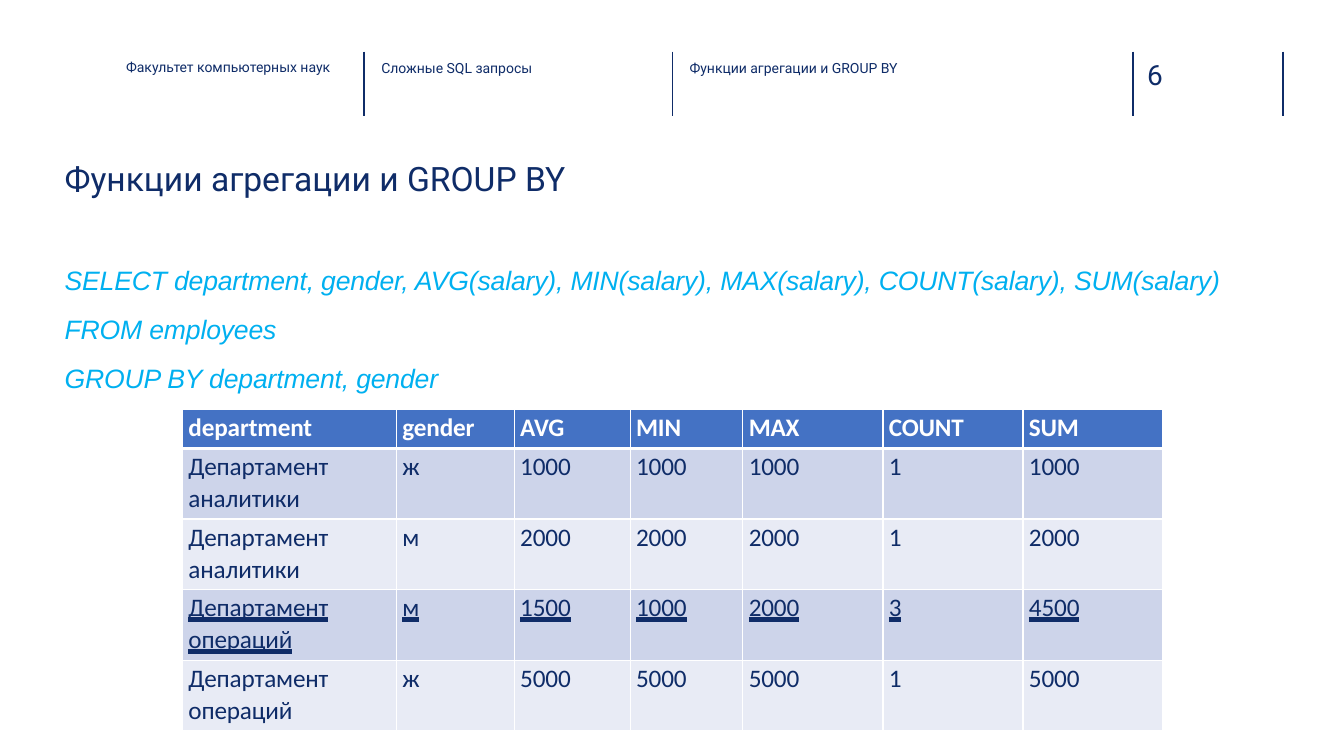
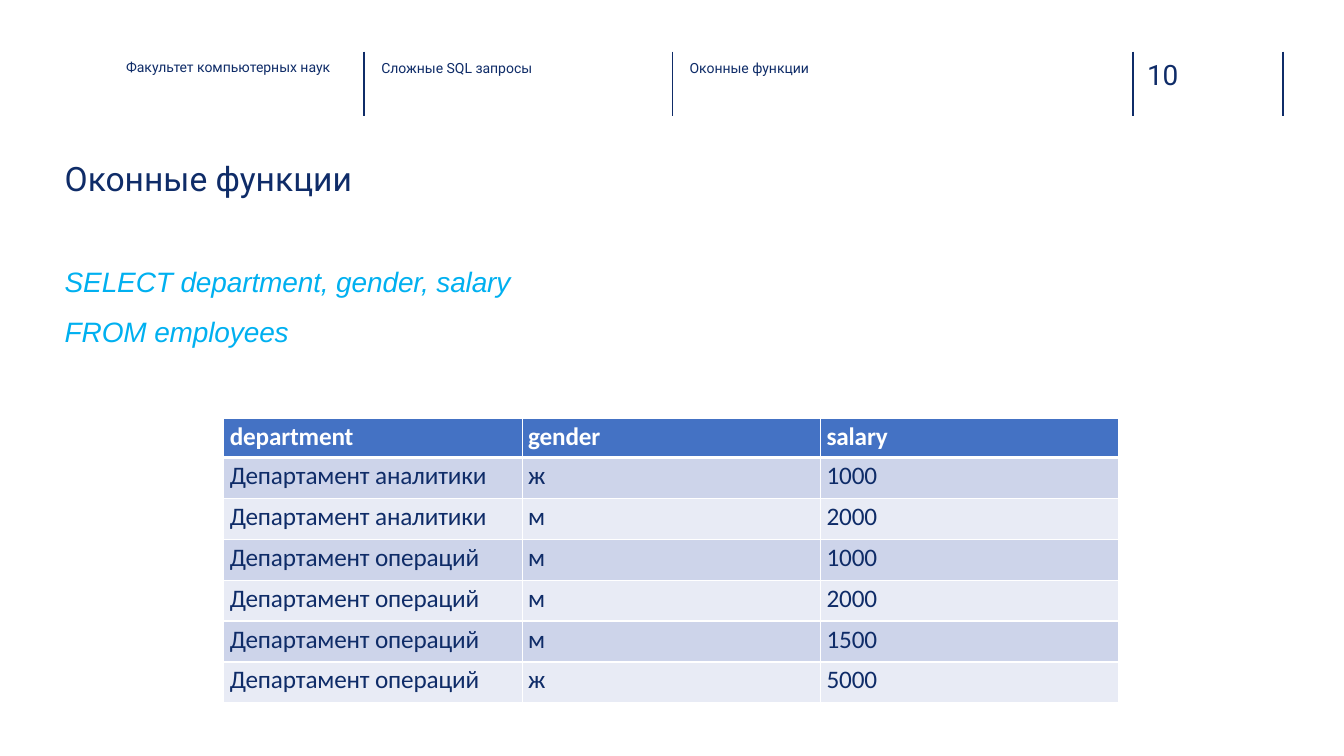
from dataclasses import dataclass
from typing import Optional

from lxml import etree
from pptx import Presentation
from pptx.dml.color import RGBColor
from pptx.enum.shapes import MSO_CONNECTOR
from pptx.enum.text import MSO_ANCHOR, MSO_AUTO_SIZE, MSO_UNDERLINE, PP_ALIGN
from pptx.oxml.ns import qn
from pptx.util import Cm, Pt

STRAIGHT = MSO_CONNECTOR.STRAIGHT
TOP = MSO_ANCHOR.TOP
NO_AUTOFIT = MSO_AUTO_SIZE.NONE
HEAVY = MSO_UNDERLINE.HEAVY_LINE
LEFT = PP_ALIGN.LEFT


@dataclass(frozen=True)
class Style:
    font: str
    size: float
    color: str
    bold: bool = False
    italic: bool = False
    spacing: float = 0


@dataclass(frozen=True)
class Theme:
    navy: str = "0F2C68"
    white: str = "FFFFFF"
    head_fill: str = "4472C4"
    band_fills: tuple[str, str] = ("CDD4EA", "E8EBF5")
    label: Style = Style("Roboto", 10, "0F2C68")
    page: Style = Style("Roboto", 20, "0F2C68", spacing=-0.2)
    title: Style = Style("Roboto", 24, "0F2C68")
    table_head: Style = Style("Calibri", 18, "FFFFFF", bold=True, spacing=-0.1)
    table_body: Style = Style("Calibri", 18, "0F2C68", spacing=-0.1)


THEME = Theme()


@dataclass(frozen=True)
class Box:
    left: float
    top: float
    width: float
    height: float


@dataclass(frozen=True)
class TableData:
    left: float
    top: float
    widths: tuple[float, ...]
    row_height: float
    rows: tuple[tuple[str, ...], ...]
    underlined_row: Optional[int] = None


@dataclass(frozen=True)
class QuerySlide:
    title: str
    page: str
    query: tuple[str, ...]
    query_size: float
    line_pitch: float
    table: TableData


RULES_X = (9.17, 16.94, 28.55, 32.33)
RULE_TOP, RULE_BOTTOM = 1.3, 2.92
FACULTY_BOX = Box(3.15, 1.45, 5.8, 0.5)
COURSE_BOX = Box(9.58, 1.47, 7, 0.5)
TOPIC_BOX = Box(17.35, 1.47, 10.8, 0.5)
PAGE_BOX = Box(28.88, 1.42, 3, 0.92)
TITLE_BOX = Box(1.6, 3.96, 30.5, 1.2)
QUERY_BOX = Box(1.6, 6.2, 30.5, 3.8)
HEAD_HEIGHT = 0.99

ANALYTICS = "Департамент аналитики"
OPERATIONS = "Департамент операций"

SLIDES = (
    QuerySlide(
        "Функции агрегации и GROUP BY", "6",
        ("SELECT department, gender, AVG(salary), MIN(salary), MAX(salary), "
         "COUNT(salary), SUM(salary)",
         "FROM employees",
         "GROUP BY department, gender"),
        19, 35,
        TableData(
            4.6, 10.31, (5.39, 2.97, 2.92, 2.84, 3.53, 3.53, 3.53), 1.78,
            (("department", "gender", "AVG", "MIN", "MAX", "COUNT", "SUM"),
             (ANALYTICS, "ж", "1000", "1000", "1000", "1", "1000"),
             (ANALYTICS, "м", "2000", "2000", "2000", "1", "2000"),
             (OPERATIONS, "м", "1500", "1000", "2000", "3", "4500"),
             (OPERATIONS, "ж", "5000", "5000", "5000", "1", "5000")),
            underlined_row=3)),
    QuerySlide(
        "Оконные функции", "10",
        ("SELECT department, gender, salary", "FROM employees"),
        20, 36,
        TableData(
            5.64, 10.54, (7.52,) * 3, 1.03,
            (("department", "gender", "salary"),
             (ANALYTICS, "ж", "1000"),
             (ANALYTICS, "м", "2000"),
             (OPERATIONS, "м", "1000"),
             (OPERATIONS, "м", "2000"),
             (OPERATIONS, "м", "1500"),
             (OPERATIONS, "ж", "5000")))),
)


def rgb(color: str) -> RGBColor:
    return RGBColor.from_string(color)


def add_run(p, text: str, style: Style):
    r = p.add_run()
    r.text = text
    r.font.name = style.font
    r.font.size = Pt(style.size)
    r.font.color.rgb = rgb(style.color)
    r.font.bold = style.bold
    r.font.italic = style.italic
    if style.spacing:
        r.font._element.set("spc", str(round(style.spacing * 100)))
    return r


def place(sp, box: Box) -> None:
    sp.left, sp.top = Cm(box.left), Cm(box.top)
    sp.width, sp.height = Cm(box.width), Cm(box.height)


def prepare_frame(tf) -> None:
    """Top-anchored wrapping text, nearly without insets."""
    tf.word_wrap = True
    tf.auto_size = NO_AUTOFIT
    tf.vertical_anchor = TOP
    tf.margin_left = tf.margin_top = Cm(0.03)
    tf.margin_right = tf.margin_bottom = 0


def add_label(slide, box: Box, text: str, style: Style) -> None:
    sp = slide.shapes.add_textbox(
        Cm(box.left), Cm(box.top), Cm(box.width), Cm(box.height))
    prepare_frame(sp.text_frame)
    p = sp.text_frame.paragraphs[0]
    p.space_before = Pt(1)
    add_run(p, text, style)


def add_header(slide, topic: str, page: str) -> None:
    for x in RULES_X:
        rule = slide.shapes.add_connector(
            STRAIGHT, Cm(x), Cm(RULE_TOP), Cm(x), Cm(RULE_BOTTOM))
        rule.line.color.rgb = rgb(THEME.navy)
        rule.line.width = Pt(1)
        etree.SubElement(rule._element.spPr, qn("a:effectLst"))
    add_label(slide, FACULTY_BOX, "Факультет компьютерных наук", THEME.label)
    add_label(slide, COURSE_BOX, "Сложные SQL запросы", THEME.label)
    add_label(slide, TOPIC_BOX, topic, THEME.label)
    add_label(slide, PAGE_BOX, page, THEME.page)


def fill_title(slide, text: str) -> None:
    sp = slide.shapes.title
    place(sp, TITLE_BOX)
    prepare_frame(sp.text_frame)
    p = sp.text_frame.paragraphs[0]
    p.alignment = LEFT
    p.space_before = Pt(1)
    add_run(p, text, THEME.title)


def fill_query(slide, data: QuerySlide) -> None:
    sp = slide.placeholders[1]
    place(sp, QUERY_BOX)
    tf = sp.text_frame
    prepare_frame(tf)
    style = Style("Arial", data.query_size, "00B0F0", italic=True, spacing=-0.1)
    for i, line in enumerate(data.query):
        p = tf.add_paragraph() if i else tf.paragraphs[0]
        p.line_spacing = Pt(data.line_pitch)
        p.space_before = Pt(0)
        pPr = p._p.get_or_add_pPr()
        pPr.set("marL", "0")
        pPr.set("indent", "0")
        etree.SubElement(pPr, qn("a:buNone"))
        add_run(p, line, style)


def set_borders(cell, top: float, bottom: float) -> None:
    """White borders; widths in points, sides always 1 pt."""
    tcPr = cell._tc.get_or_add_tcPr()
    for tag, width in (("lnL", 1), ("lnR", 1), ("lnT", top), ("lnB", bottom)):
        ln = etree.SubElement(tcPr, qn(f"a:{tag}"), w=str(Pt(width)))
        fill = etree.SubElement(ln, qn("a:solidFill"))
        etree.SubElement(fill, qn("a:srgbClr"), val=THEME.white)


def add_table(slide, data: TableData) -> None:
    heights = [HEAD_HEIGHT] + [data.row_height] * (len(data.rows) - 1)
    table = slide.shapes.add_table(
        len(data.rows), len(data.widths), Cm(data.left), Cm(data.top),
        Cm(sum(data.widths)), Cm(sum(heights))).table
    for column, width in zip(table.columns, data.widths):
        column.width = Cm(width)
    for i, (row, height, texts) in enumerate(zip(table.rows, heights, data.rows)):
        row.height = Cm(height)
        is_head = i == 0
        color = THEME.head_fill if is_head else THEME.band_fills[(i - 1) % 2]
        style = THEME.table_head if is_head else THEME.table_body
        for cell, text in zip(row.cells, texts):
            set_borders(cell, top=3 if i == 1 else 1, bottom=3 if is_head else 1)
            cell.fill.solid()
            cell.fill.fore_color.rgb = rgb(color)
            cell.margin_left, cell.margin_top = Cm(0.15), Cm(0.04)
            cell.margin_right = cell.margin_bottom = 0
            p = cell.text_frame.paragraphs[0]
            p.line_spacing = Pt(23)
            r = add_run(p, text, style)
            if i == data.underlined_row:
                r.font.underline = HEAVY


def main() -> None:
    prs = Presentation()
    prs.slide_width, prs.slide_height = Cm(33.87), Cm(19.05)
    layout = prs.slide_layouts[1]
    for data in SLIDES:
        slide = prs.slides.add_slide(layout)
        add_header(slide, data.title, data.page)
        fill_title(slide, data.title)
        fill_query(slide, data)
        add_table(slide, data.table)
    prs.save("out.pptx")


if __name__ == "__main__":
    main()
